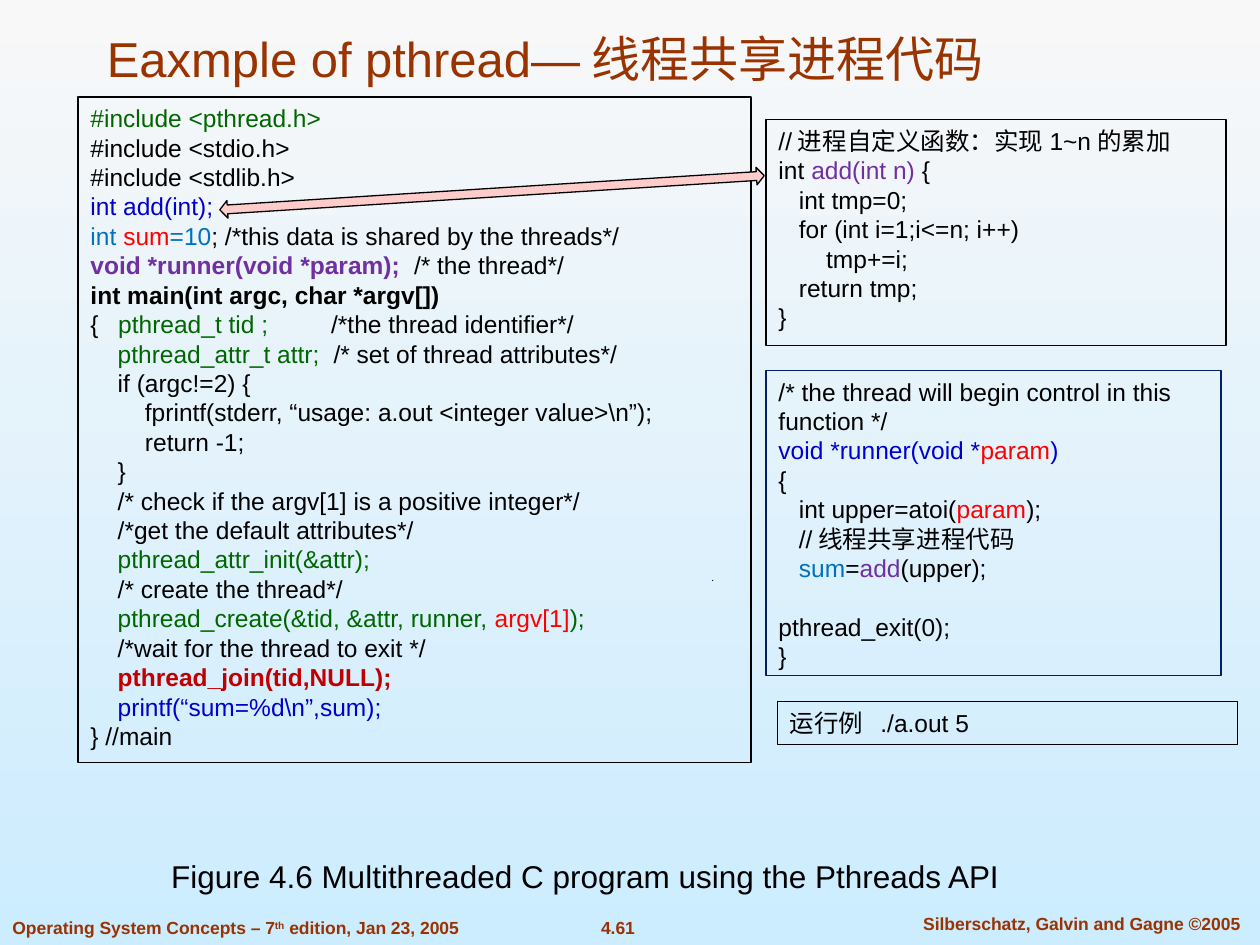
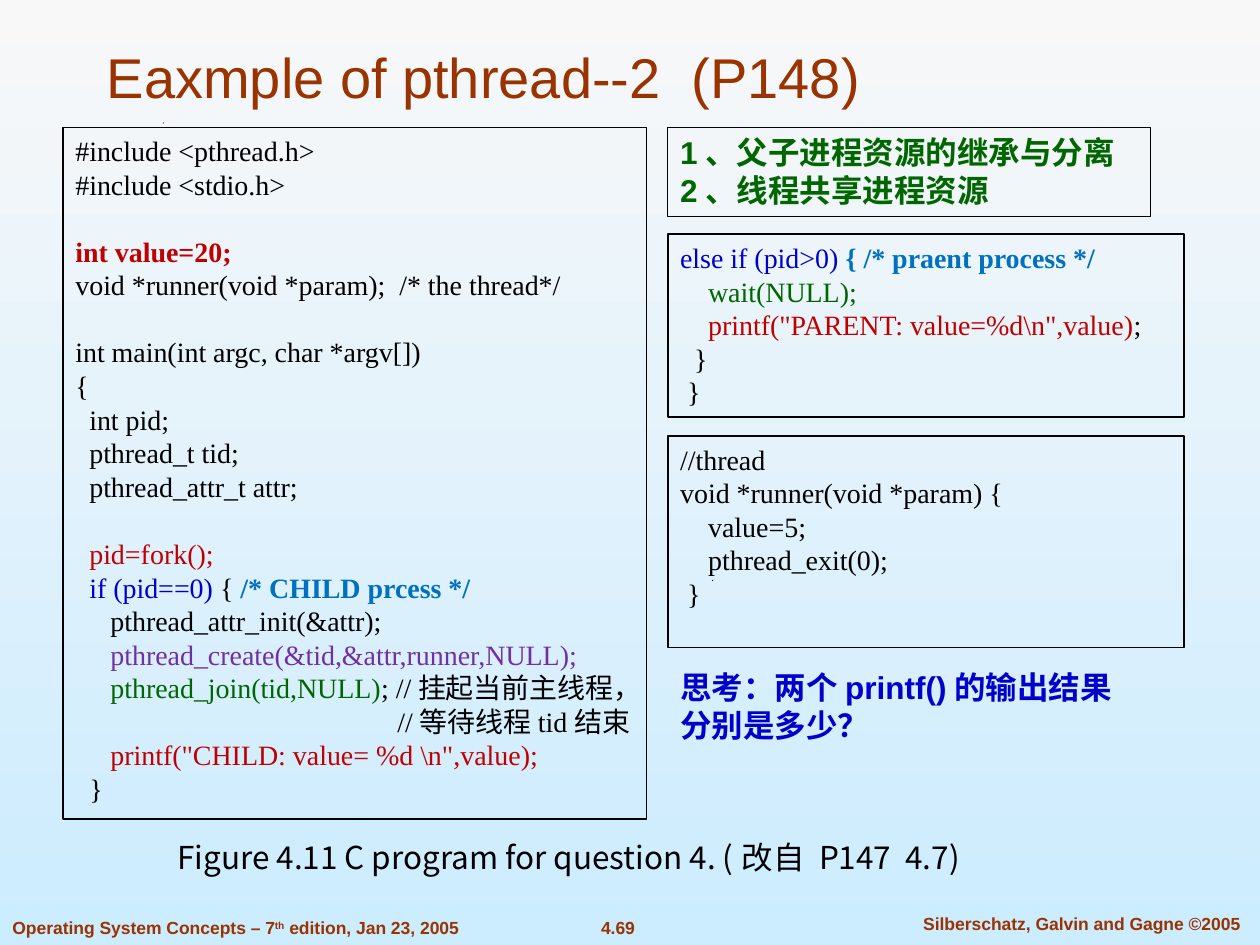
from lxml import etree
from pptx import Presentation
from pptx.dml.color import RGBColor
from pptx.enum.shapes import MSO_SHAPE
from pptx.enum.text import MSO_ANCHOR, PP_ALIGN
from pptx.oxml.ns import qn
from pptx.util import Inches, Pt

# Shared colours and fonts
BLACK, RUST, GREEN, BLUE = "000000", "993300", "006600", "0000CC"
SKY, RED, PURPLE, CRIMSON, NAVY = "0070C0", "FF0000", "7030A0", "C00000", "002060"
SANS, SERIF, CJK = "Arial", "Times New Roman", "Noto Sans CJK SC"
LINE_FACTOR = 1.2
SPACE_WIDTH = {SANS: 0.278, SERIF: 0.25, CJK: 0.25}  # share of the font size
BLANK = None  # an empty line of code

# A line is (indent in spaces, run, run, ...); a run is text or (text, colour[, bold])
MAIN_CODE = [
    (0, ("#include <pthread.h>", GREEN)),
    (0, "#include <stdio.h>"),
    (0, "#include <stdlib.h>"),
    (0, ("int add(int);", BLUE)),
    (0, ("int ", SKY), ("sum", RED), ("=10", SKY),
     "; /*this data is shared by the threads*/"),
    (0, ("void *runner(void *param);  ", PURPLE, True), "/* the thread*/"),
    (0, ("int main(int argc, char *argv[])", BLACK, True)),
    (0, "{\t", ("pthread_t tid ;\t", GREEN), "/*the thread identifier*/"),
    (4, ("pthread_attr_t attr;  ", GREEN), "/* set of thread attributes*/"),
    (4, "if (argc!=2) {"),
    (8, "fprintf(stderr, “usage: a.out <integer value>\\n”);"),
    (8, "return -1;"),
    (4, "}"),
    (4, "/* check if the argv[1] is a positive integer*/"),
    (4, "/*get the default attributes*/"),
    (4, ("pthread_attr_init(&attr);", GREEN)),
    (4, "/* create the thread*/"),
    (4, ("pthread_create(&tid, &attr, runner, ", GREEN), ("argv[1]", RED), (");", GREEN)),
    (4, "/*wait for the thread to exit */"),
    (4, ("pthread_join(tid,NULL);", CRIMSON, True)),
    (4, ("printf(“sum=%d\\n”,sum);", BLUE)),
    (0, "} //main"),
]
ADD_CODE = [
    (0, "//进程自定义函数：实现1~n的累加"),
    (0, "int ", ("add(int n)", PURPLE), " {"),
    (3, "int tmp=0;"),
    (3, "for (int i=1;i<=n; i++)"),
    (7, "tmp+=i;"),
    (3, "return tmp;"),
    (0, "}"),
]
RUNNER_CODE = [
    (0, "/* the thread will begin control in this function */"),
    (0, ("void *runner(void *", BLUE), ("param", RED), (")", BLUE)),
    (0, "{"),
    (3, "int upper=atoi(", ("param", RED), ");"),
    (3, "//线程共享进程代码"),
    (3, ("sum", SKY), "=", ("add", PURPLE), "(upper);"),
    BLANK,
    (0, "pthread_exit(0);"),
    (0, "}"),
]
FORK_CODE = [
    (0, "#include <pthread.h>"),
    (0, "#include <stdio.h>"),
    BLANK,
    (0, ("int value=20;", CRIMSON, True)),
    (0, "void *runner(void *param);  /* the thread*/"),
    BLANK,
    (0, "int main(int argc, char *argv[])"),
    (0, "{"),
    (2, "int pid;"),
    (2, "pthread_t tid;"),
    (2, "pthread_attr_t attr;"),
    BLANK,
    (2, ("pid=fork();", CRIMSON)),
    (2, ("if (pid==0) ", BLUE), "{ ", ("/* CHILD prcess */", SKY, True)),
    (5, "pthread_attr_init(&attr);"),
    (5, ("pthread_create(&tid,&attr,runner,NULL);", PURPLE)),
    (5, ("pthread_join(tid,NULL)", GREEN), "; //挂起当前主线程，"),
    (46, "//等待线程tid结束"),
    (5, ("printf(\"CHILD: value= %d \\n\",value);", CRIMSON)),
    (2, "}"),
]
PARENT_CODE = [
    (0, ("else if (pid>0) ", BLUE), ("{ /* praent process */", SKY, True)),
    (4, ("wait(NULL);", GREEN)),
    (4, ("printf(\"PARENT: value=%d\\n\",value)", CRIMSON), ";"),
    (2, "}"),
    (1, "}"),
]
THREAD_CODE = [
    (0, "//thread"),
    (0, "void *runner(void *param) {"),
    (4, "value=5;"),
    (4, "pthread_exit(0);"),
    (1, "}"),
]


def rgb(color):
    return RGBColor.from_string(color)


def set_font(p, size, font):
    p.font.size, p.font.name = Pt(size), font
    ea = etree.SubElement(p.font._element, qn("a:ea"))
    ea.set("typeface", CJK)


def add_run(p, text, color=BLACK, bold=False):
    r = p.add_run()
    r.text = text
    r.font.bold = bold
    r.font.color.rgb = rgb(color)
    return r


def set_tabs(p, stops):
    tabs = etree.Element(qn("a:tabLst"))
    for stop in stops:
        etree.SubElement(tabs, qn("a:tab"), pos=str(Inches(stop)), algn="l")
    p._p.get_or_add_pPr().find(qn("a:defRPr")).addprevious(tabs)


def write_lines(tf, lines, size, font, tabs=()):
    """Fill a text frame with lines; blank lines become space before the next."""
    tf.word_wrap = True
    tf.vertical_anchor = MSO_ANCHOR.TOP
    height = round(size * LINE_FACTOR, 1)
    p, gap = tf.paragraphs[0], 0
    for line in lines:
        if line is BLANK:
            gap += height
            continue
        if p.runs:
            p = tf.add_paragraph()
        indent, *runs = line
        p.alignment = PP_ALIGN.LEFT
        p.line_spacing = Pt(height)
        p.space_before, gap = Pt(gap), 0
        set_font(p, size, font)
        if indent:
            margin = Pt(indent * SPACE_WIDTH[font] * size)
            p._p.get_or_add_pPr().set("marL", str(margin))
        if any("\t" in (run if isinstance(run, str) else run[0]) for run in runs):
            set_tabs(p, tabs)
        for run in runs:
            add_run(p, *([run] if isinstance(run, str) else run))


def add_box(s, at, lines, size, font, line=BLACK, width=0.75, tabs=()):
    sp = s.shapes.add_shape(MSO_SHAPE.RECTANGLE, *map(Inches, at))
    sp.shadow.inherit = False
    sp.fill.background()
    sp.line.color.rgb = rgb(line)
    sp.line.width = Pt(width)
    write_lines(sp.text_frame, lines, size, font, tabs)


def add_label(s, at, runs, size, font=SANS, align=PP_ALIGN.LEFT,
              anchor=MSO_ANCHOR.TOP, wrap=True):
    tf = s.shapes.add_textbox(*map(Inches, at)).text_frame
    tf.word_wrap = wrap
    tf.vertical_anchor = anchor
    p = tf.paragraphs[0]
    p.alignment = align
    set_font(p, size, font)
    return [add_run(p, *run) for run in runs]


def add_speck(s, x, y):
    d = 0.01
    builder = s.shapes.build_freeform(Inches(x), Inches(y + d))
    builder.add_line_segments([(Inches(x + d), Inches(y)), (Inches(x + d), Inches(y + d))])
    sp = builder.convert_to_shape()
    sp.shadow.inherit = False
    sp.fill.solid()
    sp.fill.fore_color.rgb = rgb(BLACK)
    sp.line.fill.background()


def add_double_arrow(s, at, rotation):
    sp = s.shapes.add_shape(MSO_SHAPE.LEFT_RIGHT_ARROW, *map(Inches, at))
    sp.rotation = rotation
    sp.adjustments[0], sp.adjustments[1] = 0.5, 0.44
    sp.shadow.inherit = False
    sp.fill.solid()
    sp.fill.fore_color.rgb = rgb("FFCCCC")
    sp.line.color.rgb = rgb(BLACK)
    sp.line.width = Pt(0.75)


def add_slide(prs, title, title_size, title_height, number):
    """Slide with the shared gradient, specks, footers and title."""
    s = prs.slides.add_slide(prs.slide_layouts[6])
    fill = s.background.fill
    fill.gradient()
    fill.gradient_angle = 270
    for stop, color in zip(fill.gradient_stops, ("F8F8F8", "CCECFF")):
        stop.color.rgb = rgb(color)
    for x, y in ((5.65, 4.6), (1.29, 0.97)):
        add_speck(s, x, y)
    # Footers
    add_label(s, (4.64, 7.23, 0.53, 0.27), [(number, RUST, True)], 10,
              align=PP_ALIGN.CENTER, wrap=False)
    add_label(s, (7.1, 7.2, 2.97, 0.27),
              [("Silberschatz, Galvin and Gagne ©2005", RUST, True)], 10,
              align=PP_ALIGN.CENTER)
    edition = [(text, RUST, True) for text in
               ("Operating System Concepts – 7", "th", " edition, Jan 23, 2005")]
    runs = add_label(s, (0, 7.23, 4.21, 0.27), edition, 10)
    runs[1]._r.get_or_add_rPr().set("baseline", "30000")
    # Title
    add_label(s, (0.75, 0.25, 8.83, title_height), [(title, RUST)], title_size,
              anchor=MSO_ANCHOR.BOTTOM)
    return s


def build_shared_code_slide(prs):
    s = add_slide(prs, "Eaxmple of pthread—线程共享进程代码", 28, 0.49, "4.61")
    add_box(s, (6.08, 0.95, 3.65, 1.79), ADD_CODE, 14, SANS)
    add_box(s, (0.62, 0.77, 5.34, 5.28), MAIN_CODE, 14, SANS, tabs=(0.22, 1.91))
    add_box(s, (6.08, 2.94, 3.61, 2.42), RUNNER_CODE, 14, SANS, line=NAVY)
    add_box(s, (6.17, 5.57, 3.65, 0.34), [(0, "运行例  ./a.out 5")], 14, SANS)
    add_label(s, (1.26, 6.75, 7.34, 0.4),
              [("Figure 4.6 Multithreaded C program using the Pthreads API",)], 18)
    add_double_arrow(s, (1.74, 1.46, 4.33, 0.14), 356.4)


def build_fork_slide(prs):
    s = add_slide(prs, "Eaxmple of pthread--2  (P148)", 32, 0.67, "4.69")
    add_label(s, (1.31, 6.6, 7.64, 0.4),
              [("Figure 4.11 C program for question 4. (改自 P147  4.7)",)], 18, CJK)
    add_box(s, (0.5, 1.01, 4.63, 5.49), FORK_CODE, 16, SERIF)
    add_box(s, (5.3, 1.86, 4.1, 1.45), PARENT_CODE, 16, SERIF, width=1)
    add_box(s, (5.3, 3.46, 4.1, 1.68), THREAD_CODE, 16, SERIF, width=1)
    topics = ("1、父子进程资源的继承与分离", "2、线程共享进程资源")
    add_box(s, (5.3, 1.01, 3.83, 0.71),
            [(0, (topic, GREEN, True)) for topic in topics], 18, SANS)
    add_label(s, (5.3, 5.25, 3.83, 0.71),
              [("思考：两个printf()的输出结果分别是多少？", BLUE, True)], 18)


def main():
    prs = Presentation()
    prs.slide_width, prs.slide_height = Inches(10), Inches(7.5)
    build_shared_code_slide(prs)
    build_fork_slide(prs)
    prs.save("out.pptx")


if __name__ == "__main__":
    main()
